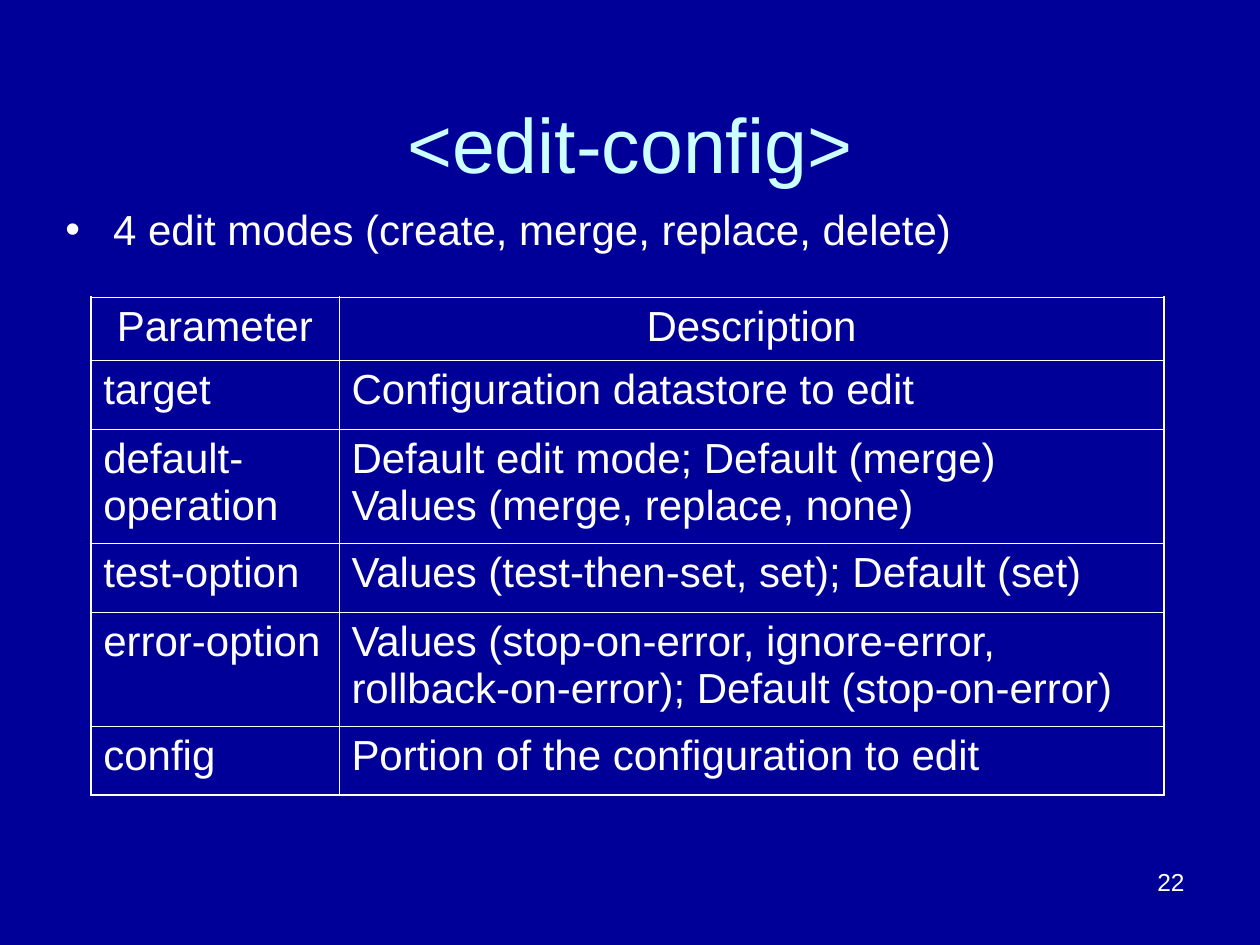
from lxml import etree
from pptx import Presentation
from pptx.dml.color import RGBColor
from pptx.enum.text import MSO_ANCHOR, PP_ALIGN
from pptx.oxml.ns import qn
from pptx.util import Inches, Pt

LEFT, CENTER, RIGHT = PP_ALIGN.LEFT, PP_ALIGN.CENTER, PP_ALIGN.RIGHT
TOP, BOTTOM = MSO_ANCHOR.TOP, MSO_ANCHOR.BOTTOM

COLORS = {"background": "000099", "title": "CCFFFF", "text": "FFFFFF"}
THIN, THICK = 0.45, 1.08

COLUMN_WIDTHS = [1.97, 6.55]
ROW_HEIGHTS = [0.5, 0.55, 0.9, 0.55, 0.9, 0.55]
PARAMETERS = [
    ("Parameter", "Description"),
    ("target", "Configuration datastore to edit"),
    ("default-operation",
     "Default edit mode; Default (merge)\nValues (merge, replace, none)"),
    ("test-option", "Values (test-then-set, set); Default (set)"),
    ("error-option", "Values (stop-on-error, ignore-error, "
                     "rollback-on-error); Default (stop-on-error)"),
    ("config", "Portion of the configuration to edit"),
]


class SlideBuilder:
    font = "Arial"
    body_size = 24
    space_before = 6

    def __init__(self, page):
        self.page = page
        fill = page.background.fill
        fill.solid()
        fill.fore_color.rgb = RGBColor.from_string(COLORS["background"])

    def fill_paragraph(self, para, text, size, color="text", align=LEFT,
                       before=0):
        para.text = text
        para.alignment = align
        para.space_before = Pt(before)
        for span in para.runs:
            span.font.name = self.font
            span.font.size = Pt(size)
            span.font.color.rgb = RGBColor.from_string(COLORS[color])

    def text_box(self, bounds, text, size, anchor=TOP, **style):
        box = self.page.shapes.add_textbox(*map(Inches, bounds))
        box.text_frame.word_wrap = True
        box.text_frame.vertical_anchor = anchor
        para = box.text_frame.paragraphs[0]
        self.fill_paragraph(para, text, size, **style)
        return para

    def bullet(self, bounds, text):
        para = self.text_box(bounds, text, self.body_size,
                             before=self.space_before)
        properties = para._p.get_or_add_pPr()
        properties.set("marL", str(Inches(0.38)))
        properties.set("indent", str(Inches(-0.38)))
        color = etree.SubElement(properties, qn("a:buClr"))
        etree.SubElement(color, qn("a:srgbClr"), val=COLORS["text"])
        etree.SubElement(properties, qn("a:buFont"), typeface=self.font)
        etree.SubElement(properties, qn("a:buChar"), char="•")

    def cell_borders(self, cell, widths):
        """Draw the borders; widths maps the sides L, R, T, B to points."""
        properties = cell._tc.get_or_add_tcPr()
        for side, width in widths.items():
            line = etree.SubElement(properties, qn(f"a:ln{side}"),
                                    w=str(Pt(width)))
            fill = etree.SubElement(line, qn("a:solidFill"))
            etree.SubElement(fill, qn("a:srgbClr"), val=COLORS["text"])

    def table(self, left, top, widths, heights, rows):
        """Add a grid with a centred header row and a thicker outer frame."""
        frame = self.page.shapes.add_table(
            len(heights), len(widths), Inches(left), Inches(top),
            Inches(sum(widths)), Inches(sum(heights)))
        grid = frame.table
        grid.first_row = grid.horz_banding = False
        for column, width in zip(grid.columns, widths):
            column.width = Inches(width)
        last_row, last_column = len(heights) - 1, len(widths) - 1
        for r, (height, texts) in enumerate(zip(heights, rows)):
            grid.rows[r].height = Inches(height)
            for c, text in enumerate(texts):
                cell = grid.cell(r, c)
                self.fill_paragraph(cell.text_frame.paragraphs[0], text,
                                    self.body_size,
                                    align=LEFT if r else CENTER,
                                    before=self.space_before)
                outer = {"L": c == 0, "R": c == last_column,
                         "T": r == 0, "B": r == last_row}
                self.cell_borders(cell, {side: THICK if edge else THIN
                                         for side, edge in outer.items()})
                cell.fill.background()


def main():
    deck = Presentation()
    deck.slide_width, deck.slide_height = Inches(10), Inches(7.5)
    slide = SlideBuilder(deck.slides.add_slide(deck.slide_layouts[6]))
    slide.text_box((0.5, 0.3, 9, 1.25), "<edit-config>", 44, anchor=BOTTOM,
                   color="title", align=CENTER)
    slide.bullet((0.42, 1.57, 8.7, 0.63),
                 "4 edit modes (create, merge, replace, delete)")
    slide.table(0.72, 2.36, COLUMN_WIDTHS, ROW_HEIGHTS, PARAMETERS)
    slide.text_box((7.17, 6.83, 2.33, 0.52), "22", 14, align=RIGHT)
    deck.save("out.pptx")


if __name__ == "__main__":
    main()
